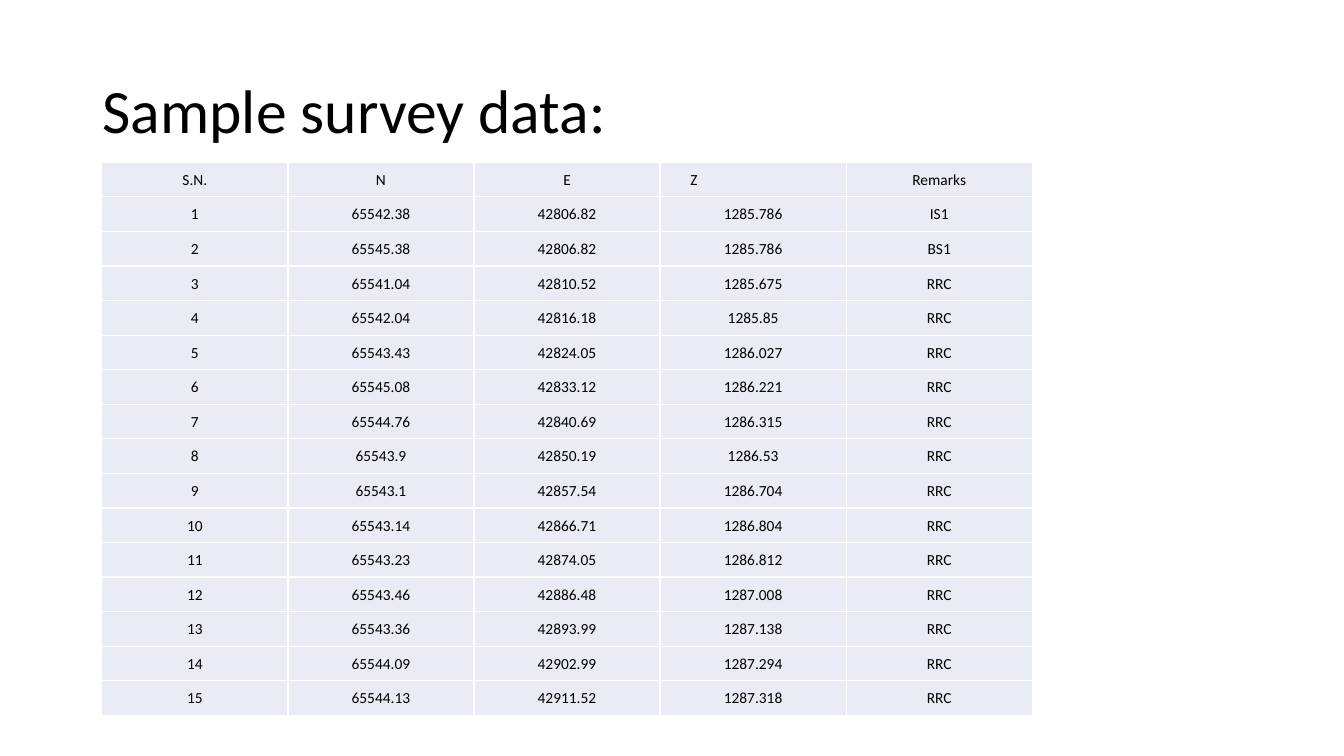
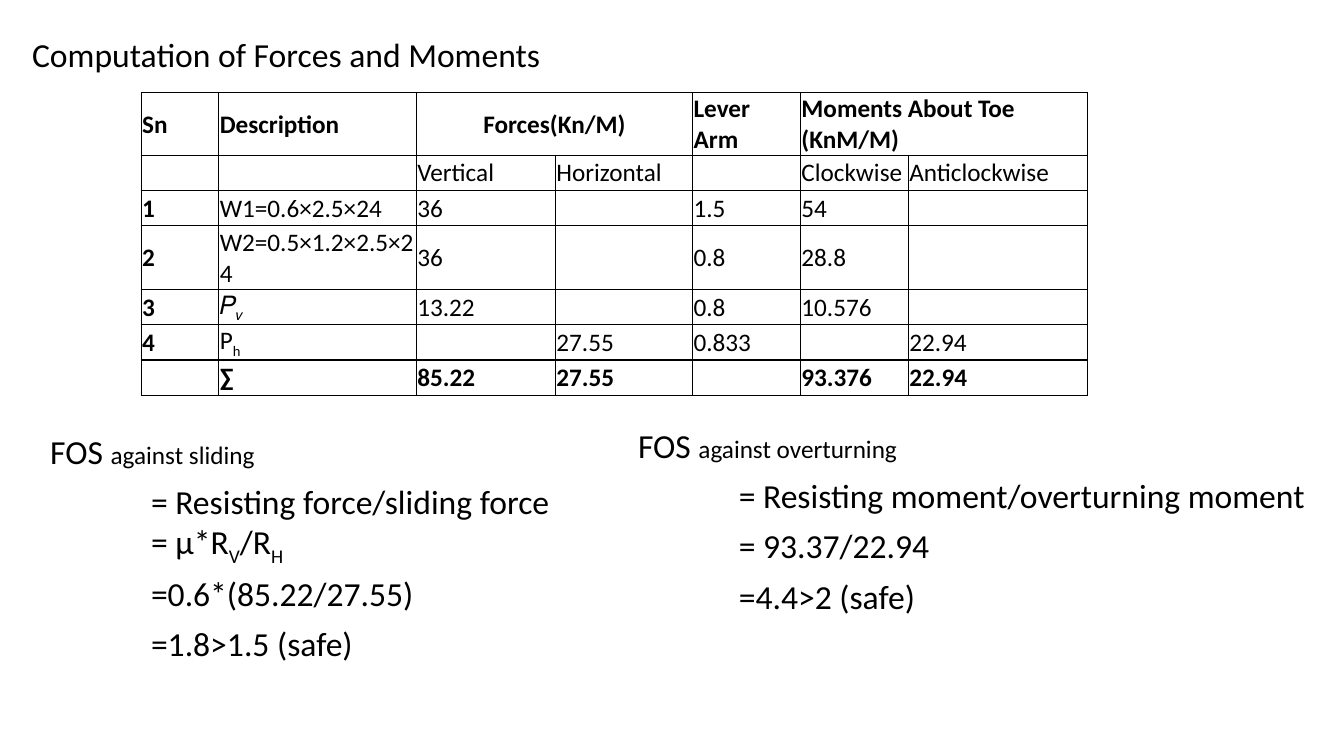
from typing import NamedTuple

from lxml import etree
from pptx import Presentation
from pptx.dml.color import RGBColor
from pptx.enum import text
from pptx.oxml import ns
from pptx.util import Inches, Pt


class Theme:
    font = "Calibri"
    ink = RGBColor.from_string("000000")
    paper = RGBColor.from_string("FFFFFF")
    tint = RGBColor.from_string("E9EBF5")
    title, body, small, data = Pt(44), Pt(24), Pt(18), Pt(11)
    line_spacing = 0.9
    space_before = Pt(10)
    cell_margin = Inches(0.01)


class Span(NamedTuple):
    text: str
    small: bool = False
    sub: bool = False


LEFT, CENTER = text.PP_ALIGN.LEFT, text.PP_ALIGN.CENTER
MIDDLE, TOP = text.MSO_ANCHOR.MIDDLE, text.MSO_ANCHOR.TOP

SURVEY_TITLE = "Sample survey data:"
SURVEY_HEADER = ("S.N.", "N", "E", "Z", "Remarks")
SURVEY_POINTS = [
    ("65542.38", "42806.82", "1285.786", "IS1"),
    ("65545.38", "42806.82", "1285.786", "BS1"),
    ("65541.04", "42810.52", "1285.675", "RRC"),
    ("65542.04", "42816.18", "1285.85", "RRC"),
    ("65543.43", "42824.05", "1286.027", "RRC"),
    ("65545.08", "42833.12", "1286.221", "RRC"),
    ("65544.76", "42840.69", "1286.315", "RRC"),
    ("65543.9", "42850.19", "1286.53", "RRC"),
    ("65543.1", "42857.54", "1286.704", "RRC"),
    ("65543.14", "42866.71", "1286.804", "RRC"),
    ("65543.23", "42874.05", "1286.812", "RRC"),
    ("65543.46", "42886.48", "1287.008", "RRC"),
    ("65543.36", "42893.99", "1287.138", "RRC"),
    ("65544.09", "42902.99", "1287.294", "RRC"),
    ("65544.13", "42911.52", "1287.318", "RRC"),
]

FORCES_TITLE = "Computation of Forces and Moments"
FORCES_ROWS = [
    ("Sn", "Description", "Forces(Kn/M)", "", "Lever Arm", "Moments About Toe (KnM/M)", ""),
    ("", "", "Vertical", "Horizontal", "", "Clockwise", "Anticlockwise"),
    ("1", "W1=0.6×2.5×24", "36", "", "1.5", "54", ""),
    ("2", "W2=0.5×1.2×2.5×24", "36", "", "0.8", "28.8", ""),
    ("3", [Span("𝑃"), Span("𝑣", sub=True)], "13.22", "", "0.8", "10.576", ""),
    ("4", [Span("P"), Span("h", sub=True)], "", "27.55", "0.833", "", "22.94"),
    ("", "∑", "85.22", "27.55", "", "93.376", "22.94"),
]
FORCES_WIDTHS = (0.77, 1.96, 1.38, 1.36, 1.07, 1.07, 1.78)
FORCES_HEIGHTS = (0.62, 0.35, 0.35, 0.63, 0.35, 0.35, 0.35)
FORCES_MERGES = (2, 5)

SAFETY_CHECKS = [
    ((0.4, 4.27, 5.7, 2.81), [
        [Span("FOS "), Span("against sliding", small=True)],
        [Span("= Resisting force/sliding force"), Span("\v"), Span("= µ*R"),
         Span("V", sub=True), Span("/R"), Span("H", sub=True)],
        "=0.6*(85.22/27.55)",
        "=1.8>1.5 (safe)",
    ]),
    ((6.23, 4.21, 6.86, 2.81), [
        [Span("FOS "), Span("against overturning", small=True)],
        "= Resisting moment/overturning moment",
        "= 93.37/22.94",
        "=4.4>2 (safe)",
    ]),
]


def write(para, content, size, bold=False):
    """Fill a paragraph from a string or a list of spans; a "\\v" span breaks the line."""
    spans = [Span(content)] if isinstance(content, str) else content
    for span in spans:
        if span.text == "\v":
            para.add_line_break()
            continue
        run = para.add_run()
        run.text = span.text
        run.font.name = Theme.font
        run.font.size = Theme.small if span.small else size
        run.font.bold = bold
        run.font.color.rgb = Theme.ink
        if span.sub:
            run.font._element.set("baseline", "-25000")


def add_text(page, place, lines, size, anchor=TOP):
    """Add a text box whose lines after the first are indented by one inch."""
    box = page.shapes.add_textbox(*map(Inches, place))
    frame = box.text_frame
    frame.word_wrap = True
    frame.vertical_anchor = anchor
    for index, line in enumerate(lines):
        para = frame.add_paragraph() if index else frame.paragraphs[0]
        para.line_spacing = Theme.line_spacing
        if index:
            para.space_before = Theme.space_before
            para._p.get_or_add_pPr().set("marL", str(Inches(1)))
        write(para, line, size)


def set_borders(cell, color):
    props = cell._tc.get_or_add_tcPr()
    for side in ("a:lnL", "a:lnR", "a:lnT", "a:lnB"):
        line = etree.SubElement(props, ns.qn(side), w=str(Pt(1)))
        fill = etree.SubElement(line, ns.qn("a:solidFill"))
        etree.SubElement(fill, ns.qn("a:srgbClr"), val=str(color))


def add_grid(page, corner, widths, heights, rows, size, fill, border, align, is_bold):
    """Add a table; is_bold(row, column) chooses the bold cells."""
    table = page.shapes.add_table(
        len(rows), len(widths), *map(Inches, corner),
        Inches(sum(widths)), Inches(sum(heights))).table
    table.first_row = table.horz_banding = False
    for column, width in zip(table.columns, widths):
        column.width = Inches(width)
    for r, (row, height) in enumerate(zip(rows, heights)):
        table.rows[r].height = Inches(height)
        for c, content in enumerate(row):
            cell = table.cell(r, c)
            cell.margin_left = cell.margin_right = cell.margin_top = Theme.cell_margin
            cell.margin_bottom = 0
            cell.vertical_anchor = MIDDLE
            set_borders(cell, border)
            cell.fill.solid()
            cell.fill.fore_color.rgb = fill
            if content:
                para = cell.text_frame.paragraphs[0]
                para.alignment = align
                write(para, content, size, is_bold(r, c))
    return table


def build_survey(page):
    add_text(page, (0.92, 0.4, 11.5, 1.45), [SURVEY_TITLE], Theme.title, MIDDLE)
    rows = [SURVEY_HEADER]
    rows += [(str(number), *point) for number, point in enumerate(SURVEY_POINTS, 1)]
    columns = len(SURVEY_HEADER)
    table = add_grid(
        page, (1.01, 1.61), [9.23 / columns] * columns, [5.49 / len(rows)] * len(rows),
        rows, Theme.data, Theme.tint, Theme.paper, CENTER, lambda r, c: False)
    height_header = table.cell(0, SURVEY_HEADER.index("Z"))
    height_header.margin_left = Inches(0.3)
    height_header.text_frame.paragraphs[0].alignment = LEFT


def build_forces(page):
    add_text(page, (0.22, 0.33, 12.3, 0.5), [FORCES_TITLE], Theme.body)
    total = len(FORCES_ROWS) - 1
    table = add_grid(
        page, (1.4, 0.92), FORCES_WIDTHS, FORCES_HEIGHTS, FORCES_ROWS,
        Theme.small, Theme.paper, Theme.ink, LEFT, lambda r, c: r in (0, total) or c == 0)
    for column in FORCES_MERGES:
        table.cell(0, column).merge(table.cell(0, column + 1))
    table.cell(0, FORCES_MERGES[0]).text_frame.paragraphs[0].alignment = CENTER
    for place, lines in SAFETY_CHECKS:
        add_text(page, place, lines, Theme.body)


def main():
    deck = Presentation()
    deck.slide_width, deck.slide_height = Inches(13.33), Inches(7.5)
    for build in (build_survey, build_forces):
        build(deck.slides.add_slide(deck.slide_layouts[6]))
    deck.save("out.pptx")


if __name__ == "__main__":
    main()
